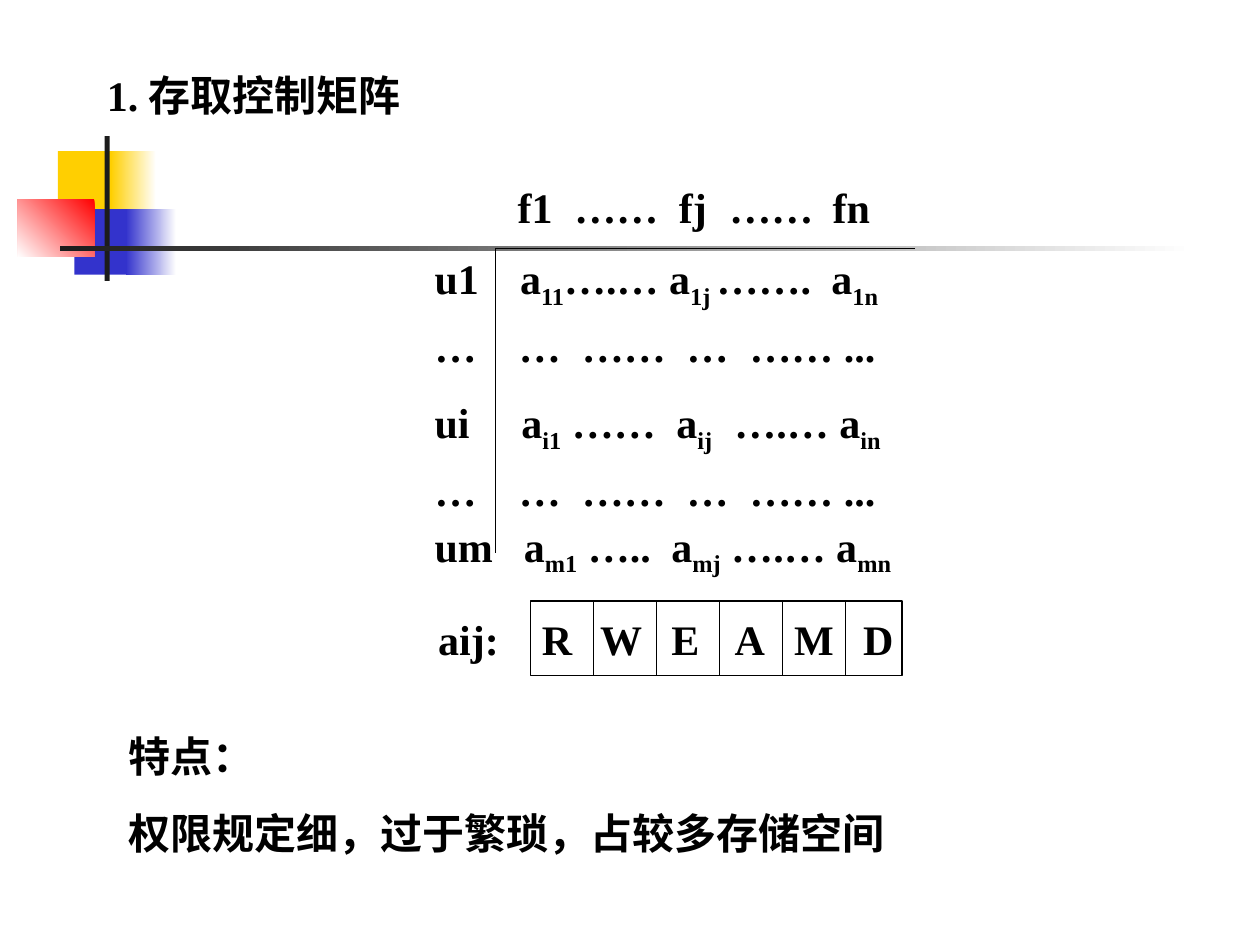
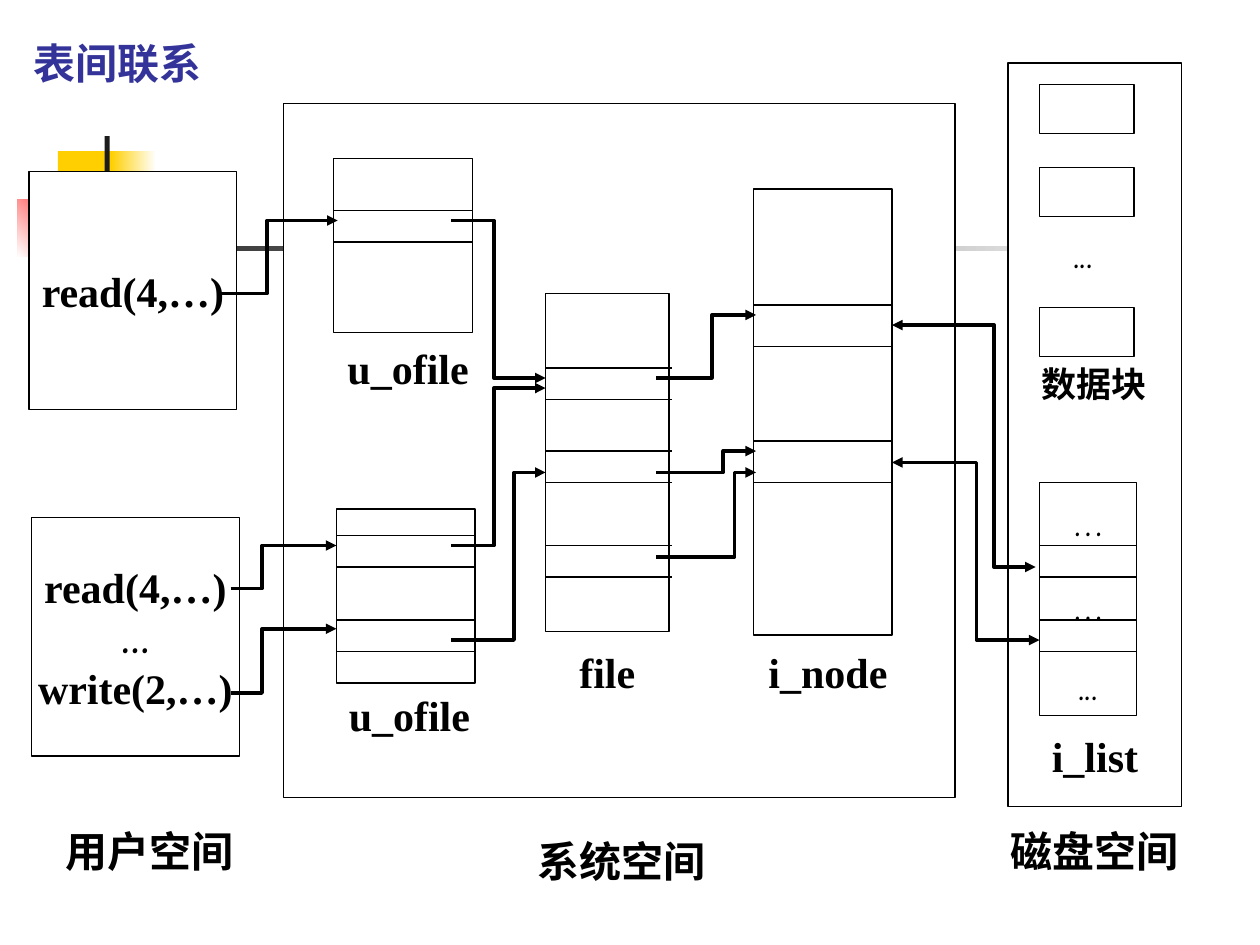
"""Build two slides on file access control and table links."""
from dataclasses import dataclass
from typing import Optional, Union

from lxml.etree import SubElement as Sub
from pptx import Presentation
from pptx.dml.color import RGBColor as Rgb
from pptx.enum.shapes import MSO_CONNECTOR as Conn, MSO_SHAPE as Form
from pptx.enum.text import MSO_ANCHOR as Anchor, PP_ALIGN as Align
from pptx.oxml.ns import qn
from pptx.util import Inches, Length, Pt

HUES = {
    "ink": "000000", "paper": "FFFFFF", "gold": "FFCF01", "blue": "3333CC",
    "red": "FF0000", "dark": "1C1C1C", "title": "333399",
}
TIMES, COMIC = "Times New Roman", "Comic Neue"
Spot = tuple[float, float]


@dataclass(frozen=True)
class Box:
    x: float
    y: float
    w: float
    h: float


@dataclass(frozen=True)
class Band:
    box: Box
    hue: str
    fade: Optional[str] = None
    turn: int = 180


@dataclass(frozen=True)
class Para:
    text: str
    gap: float = 0
    lead: Union[float, Length, None] = None
    tabs: tuple[float, ...] = ()
    side: str = "l"
    face: str = TIMES
    size: int = 24
    bold: bool = True
    hue: str = "ink"


@dataclass(frozen=True)
class Label:
    box: Box
    paras: tuple[Para, ...]


@dataclass(frozen=True)
class Stack:
    box: Box
    rules: tuple[float, ...] = ()
    over: float = 0


@dataclass(frozen=True)
class Link:
    start: Spot
    bend: float
    end: Spot
    both: bool = False


BANDS = [
    Band(Box(0.46, 1.2, 0.48, 0.52), "gold"),
    Band(Box(0.88, 1.2, 0.36, 0.52), "paper", "gold"),
    Band(Box(0.59, 1.66, 0.46, 0.52), "blue"),
    Band(Box(1, 1.66, 0.4, 0.52), "paper", "blue"),
    Band(Box(0.14, 1.58, 0.61, 0.46), "red", "paper", 225),
    Band(Box(0.83, 1.08, 0.04, 1.15), "dark"),
    Band(Box(0.48, 1.95, 9, 0.04), "paper", "dark"),
]


def tint(name: str) -> Rgb:
    """Look up a colour."""
    return Rgb.from_string(HUES[name])


def place(box: Box) -> list[Length]:
    """Turn a box into lengths."""
    return [Inches(v) for v in (box.x, box.y, box.w, box.h)]


def write(frame, paras: tuple[Para, ...], align=Align.LEFT) -> None:
    """Fill a text frame; every second part between bars is a subscript."""
    for i, para in enumerate(paras):
        line = frame.paragraphs[0] if i == 0 else frame.add_paragraph()
        if para.tabs:
            stops = Sub(line._p.get_or_add_pPr(), qn("a:tabLst"))
            for tab in para.tabs:
                Sub(stops, qn("a:tab"), pos=str(Inches(tab)), algn=para.side)
        line.alignment = align
        line.space_before = Pt(para.gap)
        if para.lead:
            line.line_spacing = para.lead
        for n, part in enumerate(para.text.split("|")):
            if not part:
                continue
            run = line.add_run()
            run.text = part
            font = run.font
            font.name, font.size, font.bold = para.face, Pt(para.size), para.bold
            font.color.rgb = tint(para.hue)
            if n % 2:
                run._r.get_or_add_rPr().set("baseline", "-25000")


def label(slide, item: Label) -> None:
    """Add a text box."""
    frame = slide.shapes.add_textbox(*place(item.box)).text_frame
    frame.word_wrap = True
    write(frame, item.paras)


def rect(slide, box: Box):
    """Add a white box with a thin black edge."""
    shape = slide.shapes.add_shape(Form.RECTANGLE, *place(box))
    shape.shadow.inherit = False
    shape.fill.solid()
    shape.fill.fore_color.rgb = tint("paper")
    shape.line.color.rgb = tint("ink")
    shape.line.width = Pt(0.75)
    return shape


def band(slide, item: Band) -> None:
    """Add one piece of the shared decoration."""
    shape = rect(slide, item.box)
    shape.line.fill.background()
    if item.fade:
        shape.fill.gradient()
        shape.fill.gradient_angle = item.turn
        for stop, hue in zip(shape.fill.gradient_stops, (item.hue, item.fade)):
            stop.color.rgb = tint(hue)
    else:
        shape.fill.fore_color.rgb = tint(item.hue)


def rule(slide, start: Spot, end: Spot) -> None:
    """Add a thin straight line."""
    line = slide.shapes.add_connector(
        Conn.STRAIGHT, *[Inches(v) for v in (*start, *end)])
    line.line.color.rgb = tint("ink")
    line.line.width = Pt(0.75)
    Sub(line._element.spPr, qn("a:effectLst"))


def stack(slide, item: Stack):
    """Add a box cut by level rules."""
    box = item.box
    shape = rect(slide, box)
    for y in item.rules:
        rule(slide, (box.x, y), (box.x + box.w + item.over, y))
    return shape


def link(slide, item: Link) -> None:
    """Add a stepped arrow."""
    (x, y), (right, low) = item.start, item.end
    spots = [(x, y), (item.bend, y), (item.bend, low), (right, low)]
    first, *rest = [(Inches(a), Inches(b)) for a, b in spots]
    pen = slide.shapes.build_freeform(*first)
    pen.add_line_segments(rest, close=False)
    shape = pen.convert_to_shape()
    shape.shadow.inherit = False
    shape.fill.background()
    shape.line.color.rgb = tint("ink")
    shape.line.width = Pt(2)
    edge = shape.line._get_or_add_ln()
    for end in ("a:headEnd", "a:tailEnd") if item.both else ("a:tailEnd",):
        Sub(edge, qn(end), type="triangle")


def start(deck, skip: tuple[str, ...] = ()):
    """Add a blank slide with the shared decoration."""
    slide = deck.slides.add_slide(deck.slide_layouts[6])
    for item in BANDS:
        if not {item.hue, item.fade} & set(skip):
            band(slide, item)
    return slide


def matrix(deck) -> None:
    """Draw the access matrix slide."""
    slide = start(deck)
    dots = "…\t…\t……\t…\t…… ..."
    cols = (0.67, 1.17, 2, 2.5)
    rows = (
        Para("\tf1\t……\tfj\t……\tfn", tabs=(0.66, 1.11, 1.94, 2.34, 3.16)),
        Para("u1\ta|11|….… a|1j |…….\ta|1n", 15, 0.8, (0.68, 3.15)),
        Para(dots, 15, 0.8, cols),
        Para("ui\ta|i1| ……\ta|ij|\t….… a|in", 15, tabs=(0.69, 1.92, 2.38)),
        Para(dots, 0, 1.2, cols),
        Para("um\ta|m1| …..\ta|mj| ….… a|mn", 0, 1.1, (0.71, 1.88)),
    )
    notes = (Para("特点："), Para("权限规定细，过于繁琐，占较多存储空间", 15))
    for item in (
        Label(Box(0.75, 0.5, 7.92, 0.5), (Para("1. 存取控制矩阵"),)),
        Label(Box(3.35, 1.39, 4.58, 3.25), rows),
        Label(Box(3.38, 4.82, 0.76, 0.5), (Para("aij:"),)),
        Label(Box(0.92, 5.75, 6.42, 1.11), notes),
    ):
        label(slide, item)
    for end in ((3.93, 4.39), (7.26, 1.97)):
        rule(slide, (3.93, 1.97), end)

    bits = Box(4.21, 4.77, 2.95, 0.59)
    frame = rect(slide, bits).text_frame
    frame.word_wrap = True
    frame.margin_left = frame.margin_right = Inches(0)
    frame.vertical_anchor = Anchor.MIDDLE
    mids = tuple(0.21 + 0.51 * i for i in range(6))
    write(frame, (Para("\t" + "\t".join("RWEAMD"), tabs=mids, side="ctr"),))
    for i in range(1, 6):
        x = bits.x + 0.5 * i
        rule(slide, (x, bits.y), (x, bits.y + bits.h))


def tables(deck) -> None:
    """Draw the slide on links between tables."""
    slide = start(deck, skip=("blue",))
    rect(slide, Box(2.25, 0.82, 5.33, 5.51))
    rect(slide, Box(8, 0.5, 1.38, 5.9))
    read = Para("read(4,…)")
    calls = (
        (Box(0.23, 1.36, 1.65, 1.89), (read,)),
        (Box(0.25, 4.11, 1.65, 1.89),
         (read, Para("…", face=COMIC), Para("write(2,…)"))),
    )
    for box, paras in calls:
        frame = rect(slide, box).text_frame
        frame.word_wrap = False
        frame.vertical_anchor = Anchor.MIDDLE
        write(frame, paras, Align.CENTER)

    for item in (
        Stack(Box(2.65, 1.26, 1.1, 1.38), (1.67, 1.92)),
        Stack(Box(2.67, 4.04, 1.1, 1.38), (4.25, 4.5, 4.92, 5.17)),
        Stack(Box(4.33, 2.33, 0.98, 2.68),
              (2.92, 3.17, 3.58, 3.83, 4.33, 4.58), 0.02),
        Stack(Box(5.98, 1.5, 1.1, 3.54), (2.42, 2.75, 3.5, 3.83)),
    ):
        stack(slide, item)
    for y in (0.67, 1.33, 2.44):
        rect(slide, Box(8.25, y, 0.75, 0.39))

    nodes = Stack(Box(8.25, 3.83, 0.77, 1.85), (4.33, 4.58, 4.92, 5.17))
    frame = stack(slide, nodes).text_frame
    frame.word_wrap = True
    frame.vertical_anchor = Anchor.TOP
    marks = (("…", 32), ("…", 48), ("...", 46))
    write(frame, tuple(Para(t, lead=Pt(h), face=COMIC, bold=False)
                       for t, h in marks), Align.CENTER)

    for item in (
        Link((3.58, 4.33), 3.92, (4.33, 3.08)),
        Link((3.58, 1.75), 3.92, (4.33, 3)),
        Link((3.58, 5.08), 4.08, (4.33, 3.75)),
        Link((5.21, 3), 5.65, (6, 2.5)),
        Link((5.21, 3.75), 5.74, (6, 3.58)),
        Link((5.21, 4.42), 5.83, (6, 3.75)),
        Link((7.08, 2.58), 7.89, (8.22, 4.5), True),
        Link((7.08, 3.67), 7.75, (8.25, 5.08), True),
        Link((1.75, 2.33), 2.12, (2.68, 1.75)),
        Link((1.83, 4.67), 2.08, (2.67, 4.33)),
        Link((1.83, 5.5), 2.08, (2.67, 4.99)),
    ):
        link(slide, item)

    for x, y, w, para in (
        (0.17, 0.25, 1.92, Para("表间联系", hue="title")),
        (0.42, 6.5, 1.67, Para("用户空间")),
        (4.17, 6.58, 1.75, Para("系统空间")),
        (7.92, 6.5, 1.58, Para("磁盘空间")),
        (2.66, 2.67, 1.26, Para("u_ofile")),
        (2.67, 5.42, 1.17, Para("u_ofile")),
        (4.5, 5.08, 0.83, Para("file")),
        (6, 5.08, 1.25, Para("i_node")),
        (8.25, 5.75, 1, Para("i_list")),
        (8.42, 1.75, 0.5, Para("...", face=COMIC, bold=False)),
        (8.17, 2.83, 1.25, Para("数据块", size=20)),
    ):
        label(slide, Label(Box(x, y, w, 0.5), (para,)))


def main() -> None:
    """Build and save the deck."""
    deck = Presentation()
    deck.slide_width, deck.slide_height = Inches(10), Inches(7.5)
    matrix(deck)
    tables(deck)
    deck.save("out.pptx")


if __name__ == "__main__":
    main()
